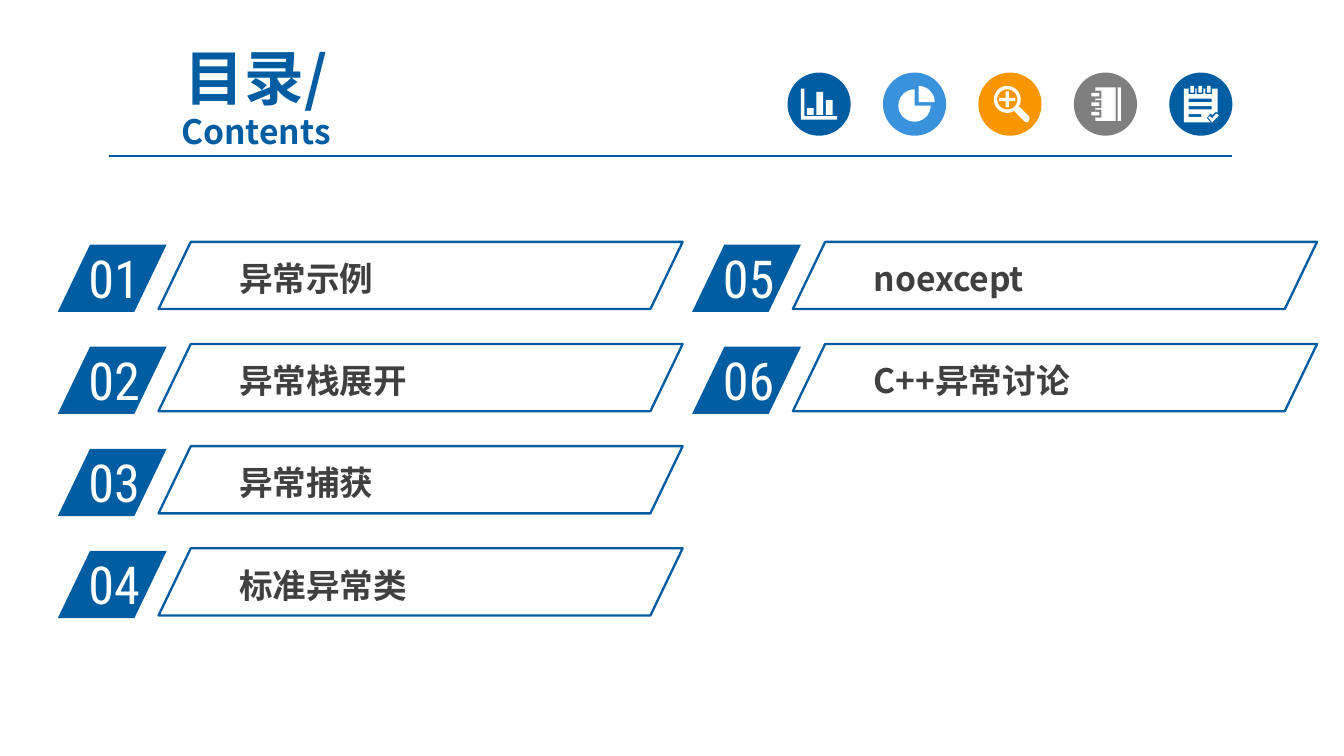
from math import cos, radians, sin

from lxml.etree import SubElement
from pptx import Presentation
from pptx.dml.color import RGBColor
from pptx.enum.shapes import MSO_CONNECTOR, MSO_SHAPE
from pptx.enum.text import MSO_ANCHOR, MSO_AUTO_SIZE, PP_ALIGN
from pptx.oxml.ns import qn
from pptx.util import Inches, Pt

BLUE, WHITE, GRAY = "005DA2", "FFFFFF", "404040"
CJK_FONT, NUMBER_FONT = "Noto Sans CJK SC", "Roboto Condensed"
TOPICS = ["异常示例", "异常栈展开", "异常捕获", "标准异常类", "noexcept", "C++异常讨论"]
ROWS_PER_COLUMN = 4
COLUMN_PITCH, ROW_PITCH = 4.72, 0.76
BADGE_SIZE, BADGE_PITCH = 0.47, 0.71
ICON_UNITS_PER_INCH = 1000


def color(hex_value):
    """Turn a hex string into a colour."""
    return RGBColor.from_string(hex_value)


def style_run(run, size, font_name, hex_value, bold=False):
    """Format one run, for Latin and East Asian letters alike."""
    run.font.size = Pt(size)
    run.font.bold = bold
    run.font.color.rgb = color(hex_value)
    run.font.name = font_name
    SubElement(run.font._element, qn("a:ea")).set("typeface", font_name)


def paint(shape, fill=None, outline=None):
    """Give a shape a flat fill or a plain outline."""
    shape.shadow.inherit = False
    if fill:
        shape.fill.solid()
        shape.fill.fore_color.rgb = color(fill)
    else:
        shape.fill.background()
    if outline:
        shape.line.color.rgb = color(outline)
        shape.line.width = Pt(1.25)
    else:
        shape.line.fill.background()


def add_heading(slide):
    """Place the two-line title and the rule below it."""
    title = slide.shapes.title
    title.left, title.top = Inches(0.67), Inches(0.47)
    title.width, title.height = Inches(2.47), Inches(0.54)
    frame = title.text_frame
    frame.text = "目录/\vContents"
    frame.auto_size = MSO_AUTO_SIZE.NONE
    frame.vertical_anchor = MSO_ANCHOR.MIDDLE
    paragraph = frame.paragraphs[0]
    paragraph.alignment = PP_ALIGN.CENTER
    paragraph.line_spacing = 0.95
    paragraph.space_before = Pt(5)
    for run, size in zip(paragraph.runs, (32, 18)):
        style_run(run, size, CJK_FONT, BLUE, bold=True)
    rule = slide.shapes.add_connector(
        MSO_CONNECTOR.STRAIGHT, Inches(0.81), Inches(1.16), Inches(9.17), Inches(1.16))
    rule.line.color.rgb = color("005B9E")
    rule.line.width = Pt(0.75)
    SubElement(rule._element.spPr, qn("a:effectLst"))


def box(left, top, right, bottom):
    """Return the corners of a rectangle."""
    return [(left, top), (right, top), (right, bottom), (left, bottom)]


def arc(x, y, radius, start=0, end=360):
    """Return points along a clockwise arc."""
    return [(x + radius * cos(radians(angle)), y + radius * sin(radians(angle)))
            for angle in range(start, end + 1, 6)]


def chart_icon():
    """Return the contours of a bar chart."""
    axes = [(-135, -115), (-110, -115), (-110, 90), (135, 90), (135, 115), (-135, 115)]
    return [axes, box(-90, 30, -40, 80), box(-20, -90, 30, 80), box(50, -30, 100, 80)]


def pie_icon():
    """Return the contours of a pie with one slice pulled out."""
    return [[(0, 10)] + arc(0, 10, 120, 0, 270),
            [(30, -15)] + arc(30, -15, 120, 270, 360)]


def magnifier_icon():
    """Return the contours of a magnifier with a plus sign."""
    x, y, reach, half = -20, -35, 60, 12
    plus = [(x - reach, y - half), (x - half, y - half), (x - half, y - reach),
            (x + half, y - reach), (x + half, y - half), (x + reach, y - half),
            (x + reach, y + half), (x + half, y + half), (x + half, y + reach),
            (x - half, y + reach), (x - half, y + half), (x - reach, y + half)]
    handle = [(35, 55), (70, 20), (145, 95), (145, 115), (130, 135), (110, 130)]
    return [arc(x, y, 100), arc(x, y, 75), plus, handle]


def notebook_icon():
    """Return the contours of a ring-bound notebook."""
    contours = [box(90, -125, 115, 125), box(-75, -125, 75, 125)]
    for y in (-70, 0, 70):
        contours += [box(-75, y - 30, -30, y + 30), box(-105, y - 13, -45, y + 13)]
    return contours


def notepad_icon():
    """Return the contours of a notepad with a check mark."""
    contours = [box(-125, -115, 125, 135), box(-90, -40, 80, -15),
                box(-90, 15, 80, 40), box(-90, 75, 5, 95)]
    for x in (-65, -5, 60):
        contours += [box(x - 25, -115, x + 25, -75), box(x - 13, -135, x + 13, -85)]
    corner = [(45, 105), (70, 70), (85, 80), (110, 60), (125, 60), (125, 135), (75, 135)]
    check = [(55, 100), (70, 90), (85, 105), (115, 70), (135, 85), (85, 135)]
    return contours + [corner, check]


def add_badge(slide, index, fill, contours):
    """Draw a round badge with a white icon in it."""
    left, top = 5.86 + index * BADGE_PITCH, 0.54
    disc = slide.shapes.add_shape(
        MSO_SHAPE.OVAL, Inches(left), Inches(top), Inches(BADGE_SIZE), Inches(BADGE_SIZE))
    paint(disc, fill)
    center_x, center_y = left + BADGE_SIZE / 2, top + BADGE_SIZE / 2
    outlines = [[(Inches(center_x + x / ICON_UNITS_PER_INCH),
                  Inches(center_y + y / ICON_UNITS_PER_INCH)) for x, y in contour]
                for contour in contours]
    builder = slide.shapes.build_freeform(*outlines[0][0])
    for number, outline in enumerate(outlines):
        if number:
            builder.move_to(*outline[0])
        builder.add_line_segments(outline[1:], close=True)
    paint(builder.convert_to_shape(), WHITE)


def add_slanted(slide, left, top, width, **colors):
    """Draw a parallelogram of the common height and slant."""
    slanted = slide.shapes.add_shape(
        MSO_SHAPE.PARALLELOGRAM, Inches(left), Inches(top), Inches(width), Inches(0.5))
    slanted.adjustments[0] = 0.48
    paint(slanted, **colors)


def add_label(slide, text, left, top, width, height, insets, **font):
    """Write one line of text."""
    label = slide.shapes.add_textbox(Inches(left), Inches(top), Inches(width), Inches(height))
    frame = label.text_frame
    frame.word_wrap = True
    frame.margin_left = frame.margin_right = Inches(insets[0])
    frame.margin_top = frame.margin_bottom = Inches(insets[1])
    frame.text = text
    style_run(frame.paragraphs[0].runs[0], **font)


def add_topic(slide, index, topic):
    """Draw one numbered entry of the contents."""
    column, row = divmod(index, ROWS_PER_COLUMN)
    left, top = 0.43 + column * COLUMN_PITCH, 1.8 + row * ROW_PITCH
    add_slanted(slide, left, top + 0.02, 0.81, fill=BLUE)
    add_label(slide, f"{index + 1:02d}", left + 0.13, top - 0.02, 0.78, 0.57, (0.1, 0.05),
              size=28, font_name=NUMBER_FONT, hex_value=WHITE)
    add_label(slide, topic, left + 1.28, top + 0.08, 2.86, 0.38, (0.07, 0.04),
              size=18, font_name=CJK_FONT, hex_value=GRAY, bold=True)
    add_slanted(slide, left + 0.75, top, 3.9, outline=BLUE)


def main():
    """Build the contents slide."""
    presentation = Presentation()
    presentation.slide_width = Inches(10)
    presentation.slide_height = Inches(10 * 9 / 16)
    slide = presentation.slides.add_slide(presentation.slide_layouts[5])
    add_heading(slide)
    badges = [(BLUE, chart_icon()), ("3992DB", pie_icon()), ("F79600", magnifier_icon()),
              ("7F7F7F", notebook_icon()), (BLUE, notepad_icon())]
    for index, (fill, contours) in enumerate(badges):
        add_badge(slide, index, fill, contours)
    for index, topic in enumerate(TOPICS):
        add_topic(slide, index, topic)
    presentation.save("out.pptx")


if __name__ == "__main__":
    main()
